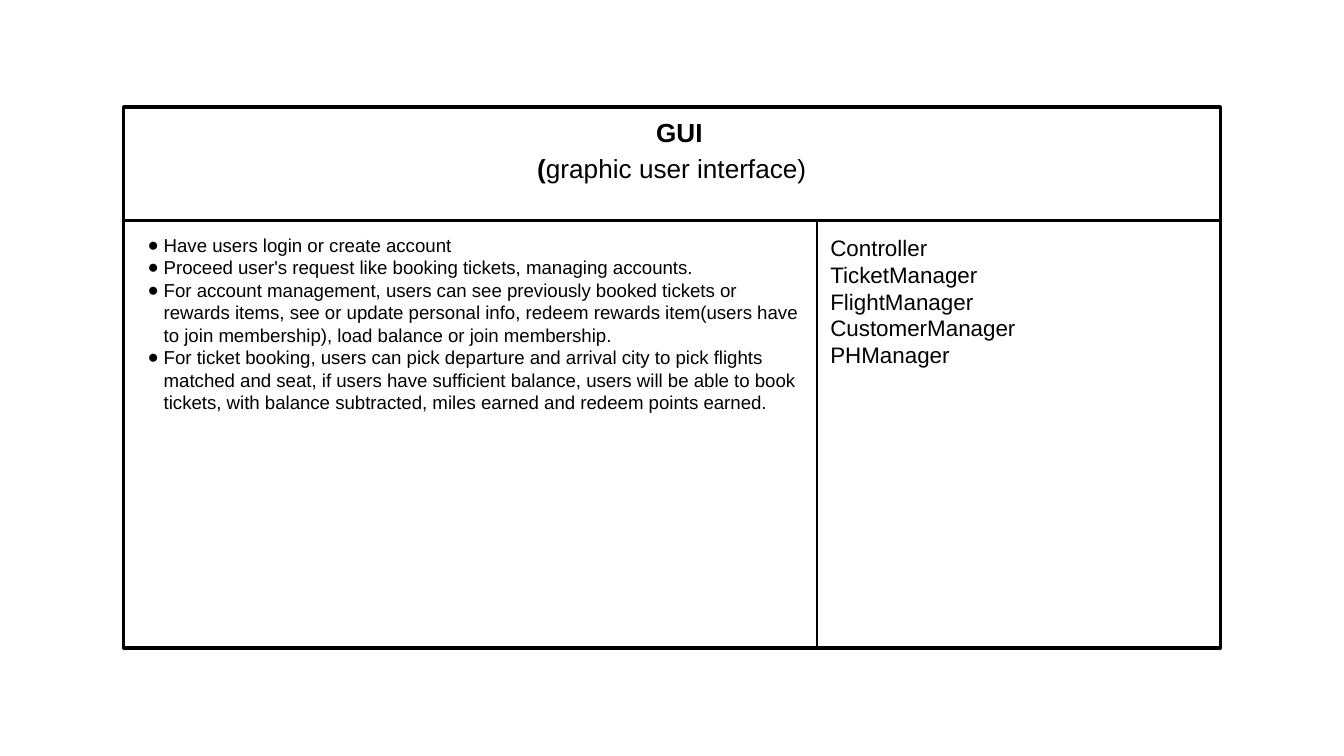
from lxml.etree import SubElement
from pptx import Presentation
from pptx.dml.color import RGBColor
from pptx.enum.shapes import MSO_SHAPE
from pptx.enum.text import MSO_ANCHOR, PP_ALIGN
from pptx.oxml.ns import qn
from pptx.util import Inches, Pt

COLORS = {"ink": "000000", "paper": "FFFFFF"}
FONT = "Arial"
LEFT, TOP, WIDTH, HEIGHT = 0.92, 0.8, 8.16, 4.02
HEADER_H, DUTIES_W = 0.84, 5.16

DUTIES = [
    "Have users login or create account",
    "Proceed user's request like booking tickets, managing accounts.",
    "For account management, users can see previously booked tickets or rewards items, "
    "see or update personal info, redeem rewards item(users have to join membership), "
    "load balance or join membership.",
    "For ticket booking, users can pick departure and arrival city to pick flights matched "
    "and seat, if users have sufficient balance, users will be able to book tickets, "
    "with balance subtracted, miles earned and redeem points earned.",
]
COLLABORATORS = ["Controller", "TicketManager", "FlightManager", "CustomerManager", "PHManager"]


class CrcCard:
    """Draws the parts of a class-responsibility-collaborator card on one slide."""

    def __init__(self, s):
        self.shapes = s.shapes.add_group_shape().shapes

    def color(self, name):
        return RGBColor.from_string(COLORS[name])

    def box(self, x, y, w, h, line=1.5):
        sp = self.shapes.add_shape(
            MSO_SHAPE.RECTANGLE, Inches(x), Inches(y), Inches(w), Inches(h))
        sp.shadow.inherit = False
        sp.fill.solid()
        sp.fill.fore_color.rgb = self.color("paper")
        sp.line.color.rgb = self.color("ink")
        sp.line.width = Pt(line)
        return sp

    def text(self, sp, lines, size, align=PP_ALIGN.LEFT):
        tf = sp.text_frame
        tf.word_wrap = True
        tf.vertical_anchor = MSO_ANCHOR.TOP
        tf.margin_left = tf.margin_right = tf.margin_top = tf.margin_bottom = Inches(0.1)
        tf.text = "\n".join(lines)
        for p in tf.paragraphs:
            p.alignment = align
            for r in p.runs:
                self.style(r, size)
        return tf

    def style(self, r, size, bold=False):
        r.font.name = FONT
        r.font.size = Pt(size)
        r.font.bold = bold
        r.font.color.rgb = self.color("ink")

    def title(self, sp, name, meaning, size):
        tf = self.text(sp, [name, "("], size, PP_ALIGN.CENTER)
        tf.vertical_anchor = MSO_ANCHOR.MIDDLE
        tf.margin_top, tf.margin_bottom = Inches(0.04), Inches(0.28)
        for p in tf.paragraphs:
            p.line_spacing = 1.15
            p.runs[0].font.bold = True
        first, second = tf.paragraphs
        first._p.get_or_add_pPr().set("marL", str(Inches(0.11)))
        r = second.add_run()
        r.text = meaning + ")"
        self.style(r, size)

    def bullets(self, sp, lines, size):
        for p in self.text(sp, lines, size).paragraphs:
            pPr = p._p.get_or_add_pPr()
            pPr.set("marL", str(Inches(0.2)))
            pPr.set("indent", str(Inches(-0.12)))
            clr = SubElement(pPr, qn("a:buClr"))
            SubElement(clr, qn("a:srgbClr"), val=COLORS["ink"])
            SubElement(pPr, qn("a:buFont"), typeface=FONT)
            SubElement(pPr, qn("a:buChar"), char="●")


def main():
    prs = Presentation()
    prs.slide_width = Inches(10)
    prs.slide_height = prs.slide_width * 9 // 16
    card = CrcCard(prs.slides.add_slide(prs.slide_layouts[6]))
    body_y, body_h = TOP + HEADER_H, HEIGHT - HEADER_H

    card.box(LEFT, TOP, WIDTH, HEIGHT, line=2.25)
    header = card.box(LEFT, TOP, WIDTH, HEADER_H)
    card.title(header, "GUI", "graphic user interface", 14)
    duties = card.box(LEFT, body_y, DUTIES_W, body_h)
    card.bullets(duties, DUTIES, 10)
    collaborators = card.box(LEFT + DUTIES_W, body_y, WIDTH - DUTIES_W, body_h)
    card.text(collaborators, COLLABORATORS, 12)
    prs.save("out.pptx")


if __name__ == "__main__":
    main()
